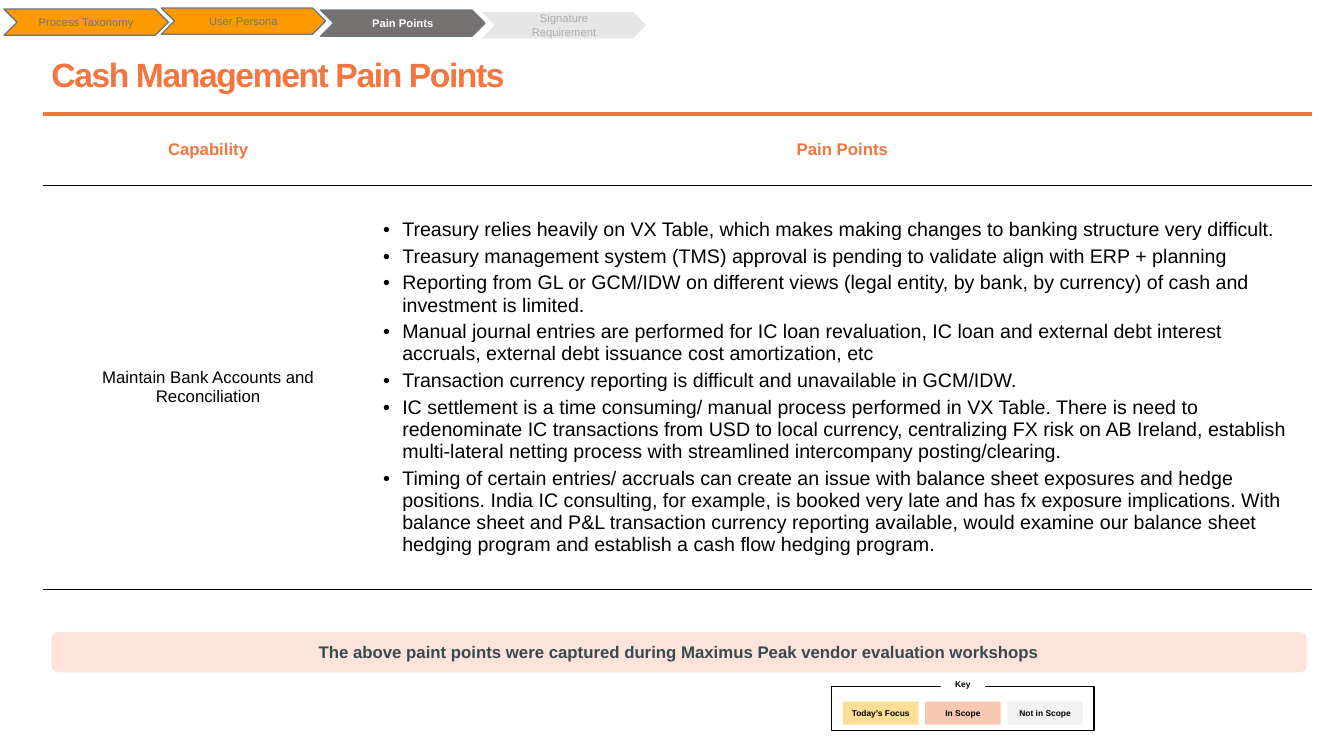
from dataclasses import dataclass

from lxml import etree
from pptx import Presentation
from pptx import util as u
from pptx.dml.color import RGBColor
from pptx.enum import shapes, text
from pptx.oxml.ns import qn

TITLE = "Cash Management Pain Points"
HEADS = ["Capability", "Pain Points"]
TOPIC = "Maintain Bank Accounts and Reconciliation"
PAINS = [
    "Treasury relies heavily on VX Table, which makes making changes to banking structure very difficult.",
    "Treasury management system (TMS) approval is pending to validate align with ERP + planning",
    "Reporting from GL or GCM/IDW on different views (legal entity, by bank, by currency) of cash and investment is limited.",
    "Manual journal entries are performed for IC loan revaluation, IC loan and external debt interest accruals, external debt issuance cost amortization, etc",
    "Transaction currency reporting is difficult and unavailable in GCM/IDW.",
    "IC settlement is a time consuming/ manual process performed in VX Table. There is need to redenominate IC transactions from USD to local currency, centralizing FX risk on AB Ireland, establish multi-lateral netting process with streamlined intercompany posting/clearing.",
    "Timing of certain entries/ accruals can create an issue with balance sheet exposures and hedge positions. India IC consulting, for example, is booked very late and has fx exposure implications. With balance sheet and P&L transaction currency reporting available, would examine our balance sheet hedging program and establish a cash flow hedging program.",
]
NOTE = "The above paint points were captured during Maximus Peak vendor evaluation workshops"
STEPS = [
    ("Process Taxonomy", 4, 9, "done"),
    ("User Persona", 160, 8, "done"),
    ("Pain Points", 318, 10, "now"),
    ("Signature Requirement", 478, 12, "next"),
]
KEYS = [("Today’s Focus", "FEDD94"), ("In Scope", "FAC8B2"), ("Not in Scope", "F2F2F2")]


@dataclass(frozen=True)
class Theme:
    font: str = "Arial"
    accent: str = "F3753F"
    ink: str = "000000"
    paper: str = "FFFFFF"
    edge: str = "6B767D"
    band: str = "FDE3D9"
    slate: str = "384951"
    title: int = 24
    body: int = 14
    label: int = 12
    step: int = 8
    key: int = 6


T = Theme()
STATES = {
    "done": ("FF9900", T.edge, T.edge, False),
    "now": ("767171", T.edge, T.paper, True),
    "next": ("E7E6E6", None, "AFABAB", False),
}
GRID = u.Inches(0.01)
COLS, ROWS = 1333, 750
MID = text.PP_ALIGN.CENTER

deck = Presentation()
deck.slide_width, deck.slide_height = COLS * GRID, ROWS * GRID
slide = deck.slides.add_slide(deck.slide_layouts[6])


def span(*cells):
    return [round(c * GRID) for c in cells]


def paint(fill, color):
    if color:
        fill.solid()
        fill.fore_color.rgb = RGBColor.from_string(color)
    else:
        fill.background()


def style(par, size, color, bold=False, align=None, gap=None):
    par.alignment = align
    for run in par.runs:
        font = run.font
        font.name, font.size, font.bold = T.font, u.Pt(size), bold
        font.color.rgb = RGBColor.from_string(color)
        if gap:
            run._r.get_or_add_rPr().set("spc", str(round(gap * 100)))


def inset(frame, x, y):
    frame.margin_left = frame.margin_right = x * GRID
    frame.margin_top = frame.margin_bottom = y * GRID


def block(kind, area, fill=None, line=None, words="", size=T.key,
          color=T.ink, bold=True, pad=(10, 5)):
    shape = slide.shapes.add_shape(kind, *span(*area))
    shape.shadow.inherit = False
    paint(shape.fill, fill)
    paint(shape.line.fill, line)
    if line:
        shape.line.width = u.Pt(1)
    if words:
        frame = shape.text_frame
        frame.text = words
        frame.word_wrap = True
        frame.vertical_anchor = text.MSO_ANCHOR.MIDDLE
        inset(frame, *pad)
        style(frame.paragraphs[0], size, color, bold, MID)


def border(cell, top, base):
    props = cell._tc.get_or_add_tcPr()
    sides = [("L", None), ("R", None), ("T", top), ("B", base)]
    for spot, (side, edge) in enumerate(sides):
        line = etree.Element(qn("a:ln" + side))
        if edge:
            color, width = edge
            line.set("w", str(u.Pt(width)))
            solid = etree.SubElement(line, qn("a:solidFill"))
            etree.SubElement(solid, qn("a:srgbClr")).set("val", color)
        else:
            etree.SubElement(line, qn("a:noFill"))
        props.insert(spot, line)


def bullet(par):
    props = par._p.get_or_add_pPr()
    props.set("marL", str(19 * GRID))
    props.set("indent", str(-19 * GRID))
    etree.SubElement(props, qn("a:buFont")).set("typeface", T.font)
    etree.SubElement(props, qn("a:buChar")).set("char", "•")


def heading():
    frame = slide.shapes.add_textbox(*span(51, 44, 1231, 50)).text_frame
    frame.text = TITLE
    frame.word_wrap = True
    frame.vertical_anchor = text.MSO_ANCHOR.BOTTOM
    inset(frame, 0, 0)
    par = frame.paragraphs[0]
    par.line_spacing = 0.9
    style(par, T.title, T.accent, True, gap=-1)


def legend():
    rect = shapes.MSO_SHAPE.RECTANGLE
    block(rect, (825, 681, 260, 44), line=T.ink)
    block(rect, (933, 667, 44, 23), T.paper, words="Key")
    for spot, (words, fill) in enumerate(KEYS):
        block(rect, (836 + 81.5 * spot, 696, 75, 23), fill, words=words, pad=(5, 3))


def matrix():
    table = slide.shapes.add_table(2, 2, *span(43, 113, 1258, 471)).table
    table.first_row = table.horz_banding = False
    for col, width in zip(table.columns, span(327, 931)):
        col.width = width
    for row, height in zip(table.rows, span(71, 400)):
        row.height = height
    thin = (T.ink, 0.25)
    tops = [(T.accent, 3), thin]
    cells = [[[head] for head in HEADS], [[TOPIC], PAINS]]
    for r, row in enumerate(cells):
        for c, lines in enumerate(row):
            cell = table.cell(r, c)
            cell.text_frame.text = "\n".join(lines)
            cell.vertical_anchor = text.MSO_ANCHOR.MIDDLE
            paint(cell.fill, T.paper if c else None)
            border(cell, tops[r], thin)
            for spot, par in enumerate(cell.text_frame.paragraphs):
                if lines is PAINS:
                    par.space_before = u.Pt(1.4 if spot else 0)
                    par.space_after = u.Pt(2)
                    bullet(par)
                    style(par, T.body, T.ink)
                else:
                    style(par, T.label, T.ink if r else T.accent, not r, MID)


def trail():
    for words, left, top, state in STEPS:
        fill, line, color, bold = STATES[state]
        block(shapes.MSO_SHAPE.CHEVRON, (left, top, 163, 26), fill, line,
              words, T.step, color, bold, (20, 20))


heading()
legend()
matrix()
block(shapes.MSO_SHAPE.ROUNDED_RECTANGLE, (51, 627, 1245, 40), T.band,
      words=NOTE, size=T.label, color=T.slate, pad=(20, 20))
trail()
deck.save("out.pptx")
